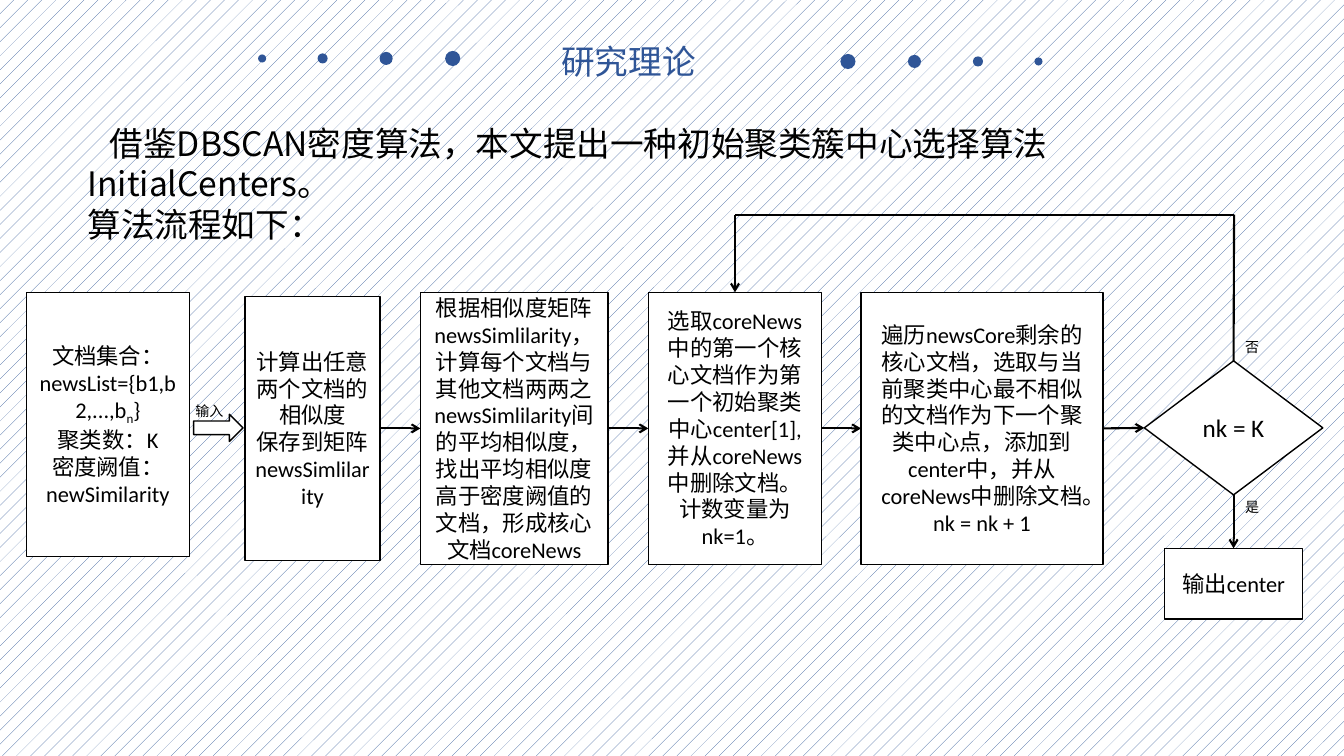
from lxml.etree import SubElement
from pptx import Presentation
from pptx.dml.color import RGBColor
from pptx.enum.dml import MSO_PATTERN
from pptx.enum.shapes import MSO_CONNECTOR, MSO_SHAPE as SHAPE
from pptx.enum.text import MSO_ANCHOR, PP_ALIGN
from pptx.oxml.ns import qn
from pptx.util import Inches, Pt

COLORS = {"blue": "2F5597", "white": "FFFFFF", "black": "000000"}
SANS = "Noto Sans CJK SC"
TITLE_FONT = "Noto Sans CJK JP"
TOP, LEFT, BOTTOM, RIGHT = range(4)

DOT_AXIS = 6.45
DOTS = [(3.85, 0.08), (3.25, 0.1), (2.62, 0.13), (1.96, 0.15)]  # distance from axis, size

STEPS = [
    (0.26, 2.9, 1.62, 2.62, ["文档集合：newsList={b1,b2,...,b", "聚类数：K", "密度阙值：newSimilarity"]),
    (2.43, 2.94, 1.34, 2.62, ["计算出任意两个文档的相似度", "保存到矩阵newsSimlilarity"]),
    (4.17, 2.9, 1.86, 2.7, [
        "根据相似度矩阵newsSimlilarity，计算每个文档与其他文档两两之newsSimlilarity间的"
        "平均相似度，找出平均相似度高于密度阙值的文档，形成核心文档coreNews"]),
    (6.43, 2.9, 1.72, 2.7, [
        "选取coreNews中的第一个核心文档作为第一个初始聚类中心center[1],"
        "并从coreNews中删除文档。计数变量为nk=1。"]),
    (8.54, 2.9, 2.4, 2.7, [
        "遍历newsCore剩余的核心文档，选取与当前聚类中心最不相似的文档作为下一个聚类中心点，"
        "添加到center中，并从coreNews中删除文档。", "nk = nk + 1"]),
]
LABELS = [(1.84, 3.94, 0.59, "输入"), (12.25, 3.31, 0.49, "否"), (12.25, 4.9, 0.49, "是")]


def color(name):
    return RGBColor.from_string(COLORS[name])


def write(frame, lines, size, latin, east_asian=SANS, ink="black", align=PP_ALIGN.LEFT):
    for number, line in enumerate(lines):
        para = frame.paragraphs[0] if number == 0 else frame.add_paragraph()
        para.add_run().text = line
        para.alignment = align
        para.font.size = Pt(size)
        para.font.color.rgb = color(ink)
        para.font.name = latin
        defaults = para._p.pPr.find(qn("a:defRPr"))
        SubElement(defaults, qn("a:ea")).set("typeface", east_asian)


def add_label(page, left, top, width, height, lines, size, font=SANS, ink="black", wrap=True):
    box = page.shapes.add_textbox(*map(Inches, (left, top, width, height)))
    box.text_frame.word_wrap = wrap
    write(box.text_frame, lines, size, font, font, ink)
    return box


def add_node(page, kind, left, top, width, height, lines=(), size=16):
    """Add a white outlined flowchart shape with centred text."""
    node = page.shapes.add_shape(kind, *map(Inches, (left, top, width, height)))
    node.shadow.inherit = False
    node.fill.solid()
    node.fill.fore_color.rgb = color("white")
    node.line.color.rgb = color("black")
    node.line.width = Pt(1)
    node.text_frame.word_wrap = True
    node.text_frame.vertical_anchor = MSO_ANCHOR.MIDDLE
    write(node.text_frame, lines, size, "Calibri", align=PP_ALIGN.CENTER)
    return node


def add_line(page, start=(0, 0), end=(0, 0), source=None, target=None, arrow=True):
    """Draw a line; source and target are (shape, side) pairs that replace a point."""
    line = page.shapes.add_connector(MSO_CONNECTOR.STRAIGHT, *map(Inches, (*start, *end)))
    if source:
        line.begin_connect(*source)
    if target:
        line.end_connect(*target)
    line.line.color.rgb = color("black")
    line.line.width = Pt(1.5)
    if arrow:
        SubElement(line.line._get_or_add_ln(), qn("a:tailEnd")).set("type", "arrow")
    SubElement(line._element.spPr, qn("a:effectLst"))


def add_dots(page, side, middle):
    for distance, size in DOTS:
        left = DOT_AXIS + side * distance - size / 2
        dot = page.shapes.add_shape(
            SHAPE.OVAL, *map(Inches, (left, middle - size / 2, size, size)))
        dot.shadow.inherit = False
        dot.fill.solid()
        dot.fill.fore_color.rgb = color("blue")
        dot.line.fill.background()


def add_subscript(para, subscript, rest):
    span = para.add_run()
    span.text = subscript
    span.font._element.set("baseline", "-25000")
    para.add_run().text = rest


def add_flow(page):
    steps = [add_node(page, SHAPE.FLOWCHART_PROCESS, *step) for step in STEPS]
    add_subscript(steps[0].text_frame.paragraphs[0], "n", "}")
    decision = add_node(page, SHAPE.FLOWCHART_DECISION, 11.35, 3.58, 1.77, 1.33, ["nk = K"], 18)
    output = add_node(page, SHAPE.FLOWCHART_PROCESS, 11.55, 5.44, 1.37, 0.7, ["输出center"])
    add_node(page, SHAPE.RIGHT_ARROW, 1.92, 4.11, 0.49, 0.27)

    chain = steps[1:] + [decision]
    for source, target in zip(chain, chain[1:]):
        add_line(page, source=(source, RIGHT), target=(target, LEFT))
    add_line(page, source=(decision, BOTTOM), target=(output, TOP))

    loop_start, loop_end = (12.24, 2.13), (7.29, 2.13)
    add_line(page, end=loop_start, source=(decision, TOP), arrow=False)
    add_line(page, loop_start, loop_end, arrow=False)
    add_line(page, loop_end, target=(steps[3], TOP))


def main():
    deck = Presentation()
    deck.slide_width, deck.slide_height = Inches(13.33), Inches(7.5)
    page = deck.slides.add_slide(deck.slide_layouts[6])
    backdrop = page.background.fill
    backdrop.patterned()
    backdrop.pattern = MSO_PATTERN.PERCENT_5
    backdrop.fore_color.rgb = color("blue")
    backdrop.back_color.rgb = color("white")

    add_dots(page, -1, 0.58)
    add_dots(page, 1, 0.61)
    add_label(page, 5.47, 0.36, 1.53, 0.5, ["研究理论"], 24, TITLE_FONT, "blue", wrap=False)
    intro = add_label(page, 0.77, 1.17, 12.06, 0.91, [
        "借鉴DBSCAN密度算法，本文提出一种初始聚类簇中心选择算法InitialCenters。",
        "算法流程如下："], 24)
    intro.text_frame.paragraphs[0]._p.pPr.set("indent", str(Inches(0.22)))
    add_flow(page)
    for left, top, width, text in LABELS:
        add_label(page, left, top, width, 0.27, [text], 10)
    deck.save("out.pptx")


if __name__ == "__main__":
    main()
